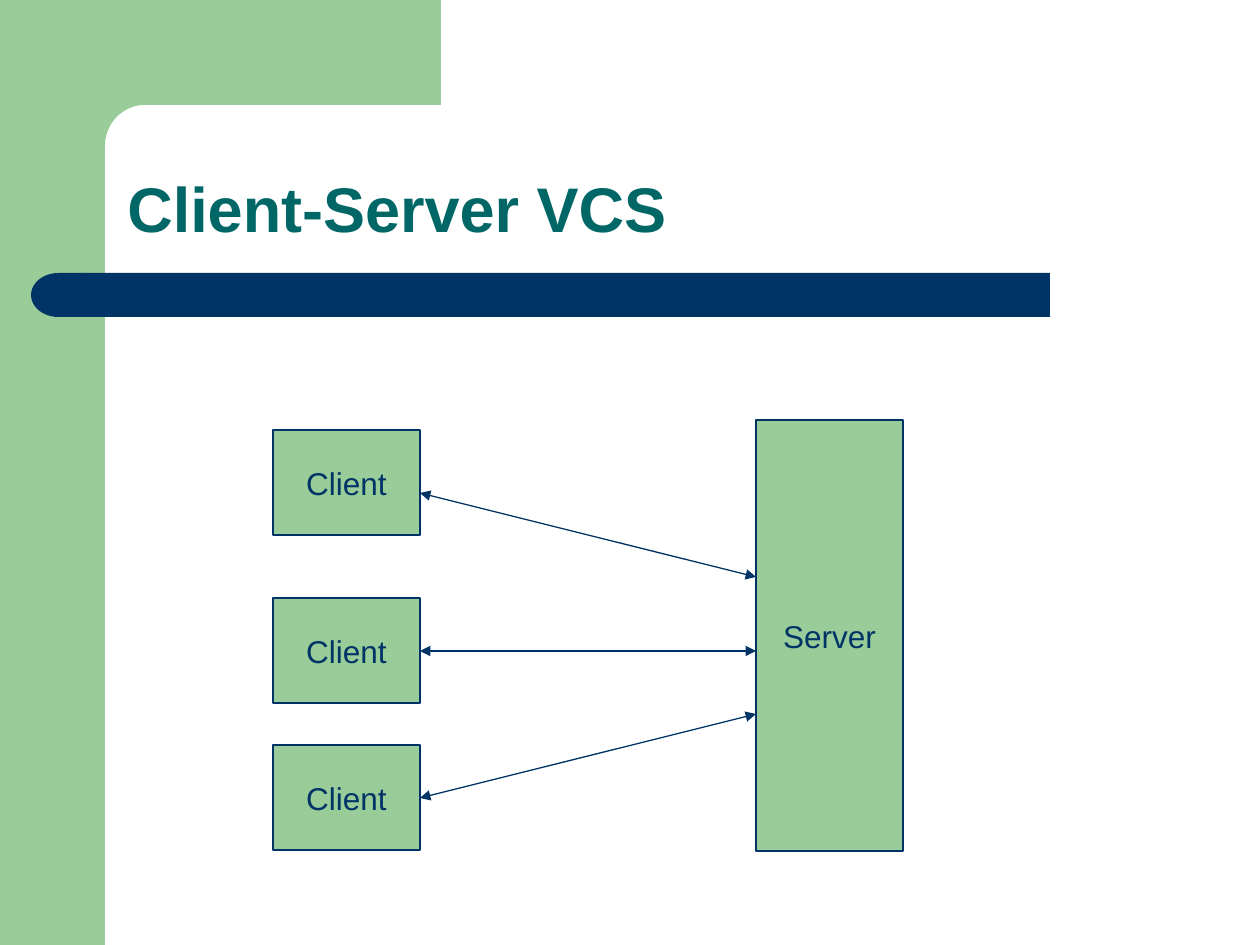
from math import cos, pi, sin

from lxml import etree
from pptx import Presentation
from pptx.dml.color import RGBColor
from pptx.enum.shapes import MSO_CONNECTOR, MSO_SHAPE
from pptx.enum.text import MSO_ANCHOR, PP_ALIGN
from pptx.oxml.ns import qn
from pptx.util import Emu, Pt

RECT, DELAY = MSO_SHAPE.RECTANGLE, MSO_SHAPE.FLOWCHART_DELAY
STRAIGHT = MSO_CONNECTOR.STRAIGHT
MIDDLE, BOTTOM = MSO_ANCHOR.MIDDLE, MSO_ANCHOR.BOTTOM
LEFT, CENTER = PP_ALIGN.LEFT, PP_ALIGN.CENTER

THEME = {
    "green": RGBColor(0x99, 0xCC, 0x99),
    "navy": RGBColor(0x00, 0x33, 0x66),
    "teal": RGBColor(0x00, 0x66, 0x66),
    "font": "Arial",
    "title": Pt(36),
    "label": Pt(18),
    "line": Pt(0.75),
}

# Content: lengths in px, 126 to the inch
SCALE = 914400 / 126
SLIDE_W, SLIDE_H = 1260, 945
TITLE = ("Client-Server VCS", (115, 115, 1072, 137))
SIDEBAR = (0, 0, 105, SLIDE_H)
BAR = (84, 273, 966, 44)
BAR_CAP = (31, 273, 55, 44)
BOX_W, CLIENT_H = 147, 105
CLIENT_X, SERVER_X = 273, 756
SERVER = ("Server", (SERVER_X, 420, BOX_W, 431))
# label, box top, arrow y at the client, arrow y at the server
CLIENTS = [
    ("Client", 430, 493, 577),
    ("Client", 598, 651, 651),
    ("Client", 745, 798, 714),
]


def px(n):
    return Emu(round(n * SCALE))


def write(sp, text, size, color, align, anchor, bold=False, wrap=False, spacing=None):
    tf = sp.text_frame
    tf.word_wrap, tf.vertical_anchor = wrap, anchor
    p = tf.paragraphs[0]
    p.alignment, p.line_spacing = align, spacing
    r = p.add_run()
    r.text = text
    for name, value in {"name": THEME["font"], "size": size, "bold": bold}.items():
        setattr(r.font, name, value)
    r.font.color.rgb = color


def paint(sp, fill, line=None):
    sp.shadow.inherit = False
    sp.fill.solid()
    sp.fill.fore_color.rgb = fill
    if line is None:
        sp.line.fill.background()
    else:
        sp.line.color.rgb = line
        sp.line.width = THEME["line"]


def add_block(shapes, kind, at, fill, line=None):
    sp = shapes.add_shape(kind, *map(px, at))
    paint(sp, fill, line)
    return sp


def add_node(shapes, label, at):
    sp = add_block(shapes, RECT, at, THEME["green"], THEME["navy"])
    write(sp, label, THEME["label"], THEME["navy"], CENTER, MIDDLE)


def add_corner(shapes):
    # Top band whose inner corner is a quarter ellipse
    cx, cy, rx, ry, steps = 145, 146, 40, 41, 16
    angles = [pi / 2 * i / steps for i in range(steps + 1)]
    arc = [(cx - rx * sin(a), cy - ry * cos(a)) for a in angles]
    points = [(441, 105), *arc, (105, 161), (63, 161), (63, 0)]
    fb = shapes.build_freeform(px(441), 0, scale=1.0)
    fb.add_line_segments([(px(x), px(y)) for x, y in points], close=True)
    paint(fb.convert_to_shape(), THEME["green"])


def add_arrow(shapes, x1, y1, x2, y2):
    cn = shapes.add_connector(STRAIGHT, *map(px, (x1, y1, x2, y2)))
    cn.line.color.rgb = THEME["navy"]
    cn.line.width = THEME["line"]
    ln = cn.line._get_or_add_ln()
    for end in ("a:headEnd", "a:tailEnd"):
        etree.SubElement(ln, qn(end), type="triangle")
    etree.SubElement(cn._element.spPr, qn("a:effectLst"))


def main():
    prs = Presentation()
    prs.slide_width, prs.slide_height = px(SLIDE_W), px(SLIDE_H)
    s = prs.slides.add_slide(prs.slide_layouts[6])

    # Frame
    add_block(s.shapes, RECT, SIDEBAR, THEME["green"])
    add_corner(s.shapes)
    add_block(s.shapes, RECT, BAR, THEME["navy"])
    add_block(s.shapes, DELAY, BAR_CAP, THEME["navy"]).rotation = 180

    # Title
    text, at = TITLE
    write(s.shapes.add_textbox(*map(px, at)), text, THEME["title"], THEME["teal"],
          LEFT, BOTTOM, bold=True, wrap=True, spacing=0.9)

    # Clients and server, then the arrows over them
    for label, top, _, _ in CLIENTS:
        add_node(s.shapes, label, (CLIENT_X, top, BOX_W, CLIENT_H))
    add_node(s.shapes, *SERVER)
    for _, _, client_y, server_y in CLIENTS:
        add_arrow(s.shapes, CLIENT_X + BOX_W, client_y, SERVER_X, server_y)

    prs.save("out.pptx")


if __name__ == "__main__":
    main()
